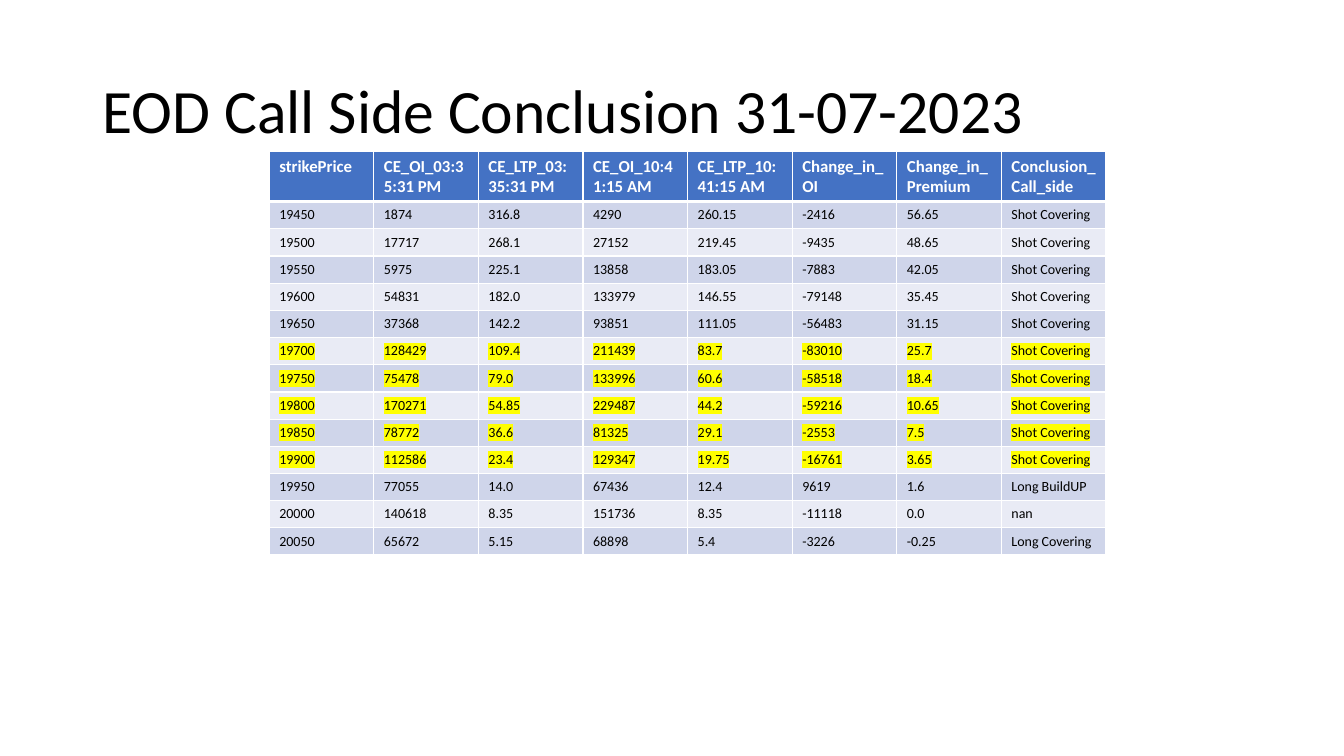
from lxml import etree
from pptx import Presentation
from pptx.dml.color import RGBColor
from pptx.enum import text
from pptx.oxml import ns
from pptx.util import Inches, Pt

# Content
TITLE = "EOD Call Side Conclusion 31-07-2023"
HEADER = ("strikePrice", "CE_OI_03:35:31 PM", "CE_LTP_03:35:31 PM", "CE_OI_10:41:15 AM",
          "CE_LTP_10:41:15 AM", "Change_in_OI", "Change_in_Premium", "Conclusion_Call_side")
ROWS = [
    ("19450", "1874", "316.8", "4290", "260.15", "-2416", "56.65", "Shot Covering"),
    ("19500", "17717", "268.1", "27152", "219.45", "-9435", "48.65", "Shot Covering"),
    ("19550", "5975", "225.1", "13858", "183.05", "-7883", "42.05", "Shot Covering"),
    ("19600", "54831", "182.0", "133979", "146.55", "-79148", "35.45", "Shot Covering"),
    ("19650", "37368", "142.2", "93851", "111.05", "-56483", "31.15", "Shot Covering"),
    ("19700", "128429", "109.4", "211439", "83.7", "-83010", "25.7", "Shot Covering"),
    ("19750", "75478", "79.0", "133996", "60.6", "-58518", "18.4", "Shot Covering"),
    ("19800", "170271", "54.85", "229487", "44.2", "-59216", "10.65", "Shot Covering"),
    ("19850", "78772", "36.6", "81325", "29.1", "-2553", "7.5", "Shot Covering"),
    ("19900", "112586", "23.4", "129347", "19.75", "-16761", "3.65", "Shot Covering"),
    ("19950", "77055", "14.0", "67436", "12.4", "9619", "1.6", "Long BuildUP"),
    ("20000", "140618", "8.35", "151736", "8.35", "-11118", "0.0", "nan"),
    ("20050", "65672", "5.15", "68898", "5.4", "-3226", "-0.25", "Long Covering"),
]
HIGHLIGHTED = {"19700", "19750", "19800", "19850", "19900"}

THEME = {
    "font": "Calibri",
    "title_size": 44, "header_size": 12, "body_size": 10,
    "ink": "000000", "header_ink": "FFFFFF", "header_fill": "4472C4",
    "bands": ("CFD5EA", "E9EBF5"), "border": "FFFFFF", "highlight": "FFFF00",
}
TABLE_LEFT, TABLE_TOP, TABLE_WIDTH = 2.67, 1.5, 8.3
HEADER_HEIGHT, ROW_HEIGHT = 0.5, 0.27


def style(p, size, color, bold=False):
    p.font.name = THEME["font"]
    p.font.size = Pt(size)
    p.font.bold = bold
    p.font.color.rgb = RGBColor.from_string(color)


def add_color(parent, tag, color):
    el = etree.SubElement(parent, ns.qn(tag))
    etree.SubElement(el, ns.qn("a:srgbClr"), val=color)


def set_borders(cell, top, bottom):
    tcPr = cell._tc.get_or_add_tcPr()
    for side, width in (("L", 1), ("R", 1), ("T", top), ("B", bottom)):
        ln = etree.SubElement(tcPr, ns.qn("a:ln" + side), w=str(Pt(width)))
        add_color(ln, "a:solidFill", THEME["border"])


def add_title(slide):
    sp = slide.shapes.add_textbox(Inches(0.92), Inches(0.4), Inches(11.5), Inches(1.45))
    tf = sp.text_frame
    tf.word_wrap = True
    tf.vertical_anchor = text.MSO_ANCHOR.MIDDLE
    p = tf.paragraphs[0]
    p.text = TITLE
    p.line_spacing = 0.9
    style(p, THEME["title_size"], THEME["ink"])


def add_option_table(slide):
    grid = [HEADER] + ROWS
    height = HEADER_HEIGHT + ROW_HEIGHT * len(ROWS)
    table = slide.shapes.add_table(len(grid), len(HEADER), Inches(TABLE_LEFT), Inches(TABLE_TOP),
                                   Inches(TABLE_WIDTH), Inches(height)).table
    for col in table.columns:
        col.width = Inches(TABLE_WIDTH / len(HEADER))
    for i, values in enumerate(grid):
        is_header = i == 0
        table.rows[i].height = Inches(HEADER_HEIGHT if is_header else ROW_HEIGHT)
        fill = THEME["header_fill"] if is_header else THEME["bands"][(i - 1) % 2]
        for j, value in enumerate(values):
            cell = table.cell(i, j)
            # A thicker rule separates the header from the body
            set_borders(cell, top=3 if i == 1 else 1, bottom=3 if is_header else 1)
            cell.fill.solid()
            cell.fill.fore_color.rgb = RGBColor.from_string(fill)
            p = cell.text_frame.paragraphs[0]
            r = p.add_run()
            r.text = value
            if is_header:
                style(p, THEME["header_size"], THEME["header_ink"], bold=True)
            else:
                style(p, THEME["body_size"], THEME["ink"])
            if values[0] in HIGHLIGHTED:
                add_color(r._r.get_or_add_rPr(), "a:highlight", THEME["highlight"])


def main():
    prs = Presentation()
    prs.slide_width, prs.slide_height = Inches(13.33), Inches(7.5)
    slide = prs.slides.add_slide(prs.slide_layouts[6])
    add_title(slide)
    add_option_table(slide)
    prs.save("out.pptx")


if __name__ == "__main__":
    main()
